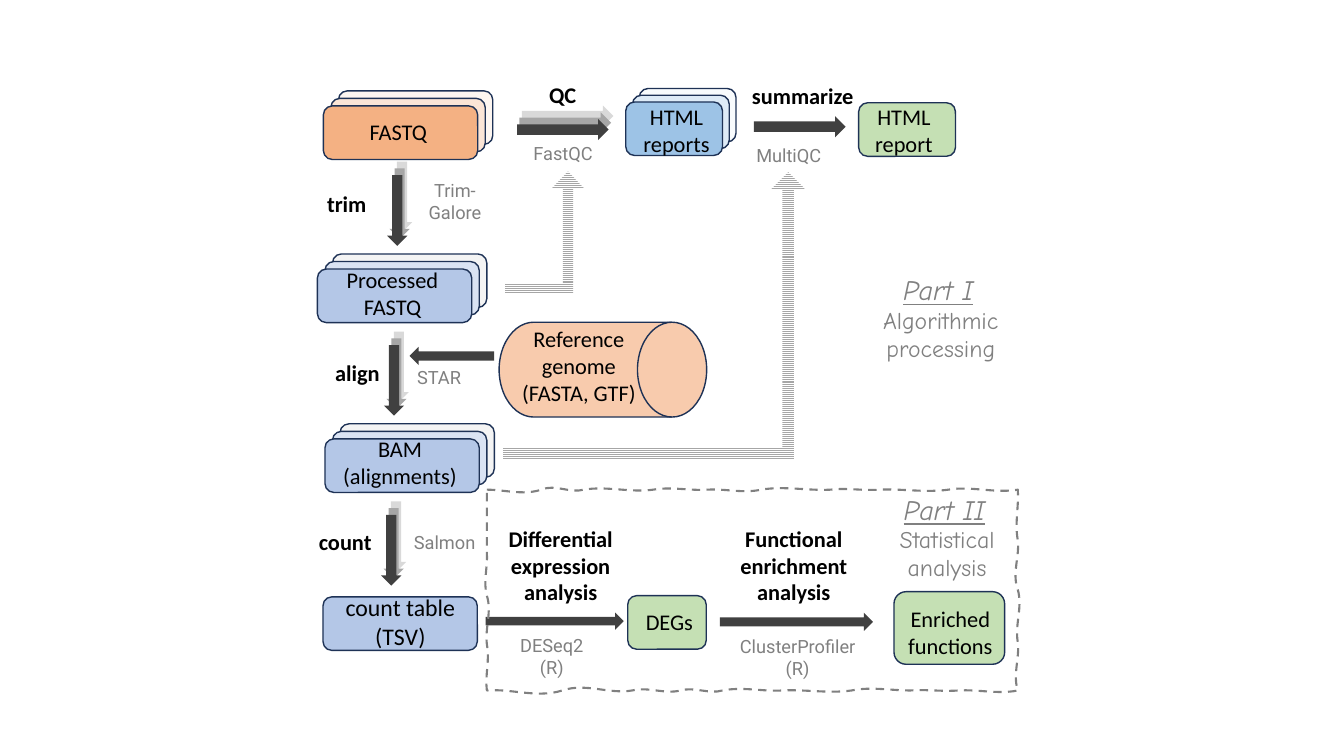
from copy import deepcopy
from dataclasses import dataclass

from lxml import etree
from pptx import Presentation
from pptx.dml.color import RGBColor
from pptx.enum import dml, shapes, text
from pptx.oxml import ns
from pptx.util import Cm, Pt


@dataclass(frozen=True)
class Theme:
    ink: str = "000000"
    gray: str = "808080"
    outline: str = "1E3256"
    arrow: str = "404040"
    arrow_middle: str = "A6A6A6"
    arrow_back: str = "D9D9D9"
    paper: str = "FFFFFF"
    orange: str = "F4B183"
    orange_light: str = "FBE5D6"
    drum: str = "F8CBAD"
    sky: str = "9DC3E6"
    sky_light: str = "DEEBF7"
    blue: str = "B4C7E7"
    blue_light: str = "DAE3F3"
    off_white: str = "F4F4F4"
    green: str = "C5E0B4"
    main_font: str = "Calibri"
    tool_font: str = "Roboto"
    part_font: str = "Comic Neue"
    main_size: int = 16
    tool_size: int = 13
    part_size: int = 20
    large_size: int = 17


theme = Theme()
SHAPE = shapes.MSO_SHAPE

deck = Presentation()
deck.slide_width, deck.slide_height = Cm(33.87), Cm(19.05)
page = deck.slides.add_slide(deck.slide_layouts[6])


def draw(kind, left, top, width, height, fill, line=None, rotation=0, opacity=None):
    """Add a flat preset shape; opacity is a percentage."""
    shape = page.shapes.add_shape(kind, Cm(left), Cm(top), Cm(width), Cm(height))
    shape.shadow.inherit = False
    shape.rotation = rotation
    shape.fill.solid()
    shape.fill.fore_color.rgb = RGBColor.from_string(fill)
    if opacity is not None:
        color = shape.fill._xPr.find(ns.qn("a:solidFill"))[0]
        etree.SubElement(color, ns.qn("a:alpha"), val=str(opacity * 1000))
    if line:
        shape.line.color.rgb = RGBColor.from_string(line)
        shape.line.width = Pt(1)
    else:
        shape.line.fill.background()
    return shape


def write(words, left, top, width, height, *, size=theme.main_size, font=theme.main_font,
          color=theme.ink, bold=None, italic=None, underline=None,
          align=text.PP_ALIGN.CENTER):
    """Add a wrapping text box; \\n starts a paragraph and \\v breaks a line."""
    box = page.shapes.add_textbox(Cm(left), Cm(top), Cm(width), Cm(height))
    frame = box.text_frame
    frame.word_wrap = True
    frame.text = words
    for para in frame.paragraphs:
        para.alignment = align
        for span in para.runs:
            span.font.name, span.font.size = font, Pt(size)
            span.font.color.rgb = RGBColor.from_string(color)
            span.font.bold, span.font.italic = bold, italic
            span.font.underline = underline
        for line_break in para._p.findall(ns.qn("a:br")):
            line_break.append(deepcopy(para.runs[0]._r.find(ns.qn("a:rPr"))))


# Stacks of files: front card position, width, step, then (fill, opacity) from back to front
CARD_WIDTH, CARD_HEIGHT = 3.89, 1.35
blue_cards = [(theme.off_white, None), (theme.blue_light, None), (theme.blue, None)]
stacks = [
    (8.15, 2.67, CARD_WIDTH, 0.19,
     [(theme.orange_light, 34), (theme.orange_light, None), (theme.orange, None)]),
    (15.77, 2.57, 2.44, 0.17,
     [(theme.sky_light, 20), (theme.sky_light, None), (theme.sky, None)]),
    (8, 6.78, CARD_WIDTH, 0.19, blue_cards),
    (8.19, 11.06, CARD_WIDTH, 0.19, blue_cards),
    (8.14, 15.04, CARD_WIDTH, 0, blue_cards[-1:]),
]
for left, top, width, step, cards in stacks:
    for depth, (fill, opacity) in zip(reversed(range(len(cards))), cards):
        draw(SHAPE.ROUNDED_RECTANGLE, left + depth * step, top - depth * step,
             width, CARD_HEIGHT, fill, theme.outline, opacity=opacity)

# Result cards
for left, top, width, height in [
    (21.64, 2.59, 2.44, CARD_HEIGHT),
    (15.82, 15.01, 1.98, CARD_HEIGHT),
    (22.53, 14.91, 2.79, 1.83),
]:
    draw(SHAPE.ROUNDED_RECTANGLE, left, top, width, height, theme.green, theme.outline)

draw(SHAPE.FLOWCHART_DIRECT_ACCESS_STORAGE, 12.58, 8.12, 5.23, 2.39,
     theme.drum, theme.outline)

# Arrows: triple for steps run on every file, single otherwise
triple = [theme.arrow_back, theme.arrow_middle, theme.arrow]
single = [theme.arrow]
for left, top, width, height, rotation, fills in [
    (13.03, 3, 2.31, 0.53, 0, triple),
    (9.12, 5.05, 1.78, 0.51, 90, triple),
    (9.04, 9.33, 1.78, 0.51, 90, triple),
    (8.97, 13.61, 1.78, 0.51, 90, triple),
    (19, 2.93, 2.31, 0.53, 0, single),
    (10.32, 8.74, 2.13, 0.46, 180, single),
    (12.24, 15.44, 3.48, 0.43, 0, single),
    (18.14, 15.44, 3.86, 0.46, 0, single),
]:
    for depth, fill in zip(reversed(range(len(fills))), fills):
        draw(SHAPE.RIGHT_ARROW, left + depth * 0.06, top - depth * 0.17,
             width, height, fill, rotation=rotation)

for left, top, width, height, adjustments in [
    (12.73, 4.32, 1.98, 3.1, (0.13, 0.2, 0.21)),
    (12.68, 4.34, 7.62, 7.24, (0.04, 0.06, 0.06)),
]:
    bent = draw(SHAPE.BENT_UP_ARROW, left, top, width, height, theme.paper)
    for index, value in enumerate(adjustments):
        bent.adjustments[index] = value
    bent.fill.patterned()
    bent.fill.pattern = dml.MSO_PATTERN.NARROW_HORIZONTAL
    bent.fill.fore_color.rgb = RGBColor.from_string(theme.arrow_middle)
    bent.fill.back_color.rgb = RGBColor.from_string(theme.paper)

# Hand-drawn frame: each side has knots along it and a pair of bends between knots
LEFT, TOP, RIGHT, BOTTOM = 12.27, 12.34, 25.65, 17.4
sides = [
    (False, TOP, [LEFT, 13.64, 14.71, 16.46, 17.83, 19.18, 20.93, 22.15, 23.9, RIGHT],
     [(0, 0.15), (-0.15, 0.1), (-0.1, 0.08), (-0.08, 0.03), (-0.03, 0.1),
      (-0.1, 0.03), (-0.05, 0.03), (-0.03, 0.08), (-0.1, 0.1)]),
    (True, RIGHT, [TOP, 13.61, 14.86, 16.18, BOTTOM],
     [(0.03, -0.08), (0.05, -0.15), (0.13, -0.08), (0.05, -0.13)]),
    (False, BOTTOM, [RIGHT, 24.16, 22.94, 21.46, 19.71, 18.21, 17.15, 15.93, 14.17, LEFT],
     [(0.1, -0.03), (0.03, -0.03), (0, -0.1), (0.08, -0.03), (0.03, -0.1),
      (0.1, -0.1), (0.1, -0.1), (0.1, -0.2), (0.2, -0.05)]),
    (True, LEFT, [BOTTOM, 16.23, 15.01, 13.92, TOP],
     [(-0.05, 0.08), (-0.05, 0.13), (-0.1, 0.03), (0, 0)]),
]
curves = []
for vertical, base, knots, bends in sides:
    for start, end, (first, second) in zip(knots, knots[1:], bends):
        third = (end - start) / 3
        points = [(start + third, base + first), (end - third, base + second), (end, base)]
        curves.append([point[::-1] if vertical else point for point in points])
builder = page.shapes.build_freeform(Cm(LEFT), Cm(TOP))
builder.add_line_segments([(Cm(x), Cm(y)) for *_, (x, y) in curves], close=True)
part_frame = builder.convert_to_shape()
for segment, points in zip(list(part_frame._element.iter(ns.qn("a:lnTo"))), curves):
    curve = etree.Element(ns.qn("a:cubicBezTo"))
    for x, y in points:
        etree.SubElement(curve, ns.qn("a:pt"), x=str(Cm(x - LEFT)), y=str(Cm(y - TOP)))
    segment.getparent().replace(segment, curve)
part_frame.shadow.inherit = False
part_frame.fill.background()
part_frame.line.color.rgb = RGBColor.from_string(theme.gray)
part_frame.line.width = Pt(1.5)
part_frame.line.dash_style = dml.MSO_LINE.DASH

# Data names
for words, *place in [
    ("FASTQ", 8.15, 2.84, 3.78, 0.94),
    ("HTML\nreports", 15.73, 2.47, 2.64, 1.63),
    ("HTML\nreport", 21.46, 2.47, 2.64, 1.63),
    ("Processed FASTQ", 8, 6.58, 3.78, 1.63),
    ("Reference\vgenome\v(FASTA, GTF)", 12.47, 8.07, 4.24, 2.31),
    ("BAM (alignments)", 8.19, 10.85, 3.78, 1.63),
    ("DEGs", 15.93, 15.21, 1.88, 0.94),
    ("Enriched functions", 22.63, 15.12, 2.64, 1.63),
]:
    write(words, *place)
write("count table\v(TSV)", 8.2, 14.81, 3.78, 1.7, size=theme.large_size)

# Step names
for words, *place in [
    ("QC", 12.87, 1.93, 2.62, 0.94),
    ("summarize", 18.67, 1.95, 3.12, 0.94),
    ("trim", 7.43, 4.67, 2.62, 0.94),
    ("align", 7.7, 8.92, 2.62, 0.94),
    ("count", 7.39, 13.18, 2.62, 0.94),
    ("Differential expression analysis", 12.02, 13.1, 4.22, 2.31),
    ("Functional enrichment analysis", 17.67, 13.1, 4.67, 2.31),
]:
    write(words, *place, bold=True)

# Tool names
tool = dict(size=theme.tool_size, font=theme.tool_font, color=theme.gray)
for words, *place in [
    ("FastQC", 12.54, 3.45, 3.3, 0.81),
    ("Trim-\vGalore", 9.52, 4.39, 3.89, 1.37),
    ("STAR", 9.12, 9.11, 3.89, 0.81),
    ("Salmon", 9.26, 13.26, 3.89, 0.81),
    ("DESeq2\v(R)", 12.09, 15.85, 3.63, 1.37),
    ("ClusterProfiler\v(R)", 17.61, 15.88, 4.98, 1.37),
]:
    write(words, *place, **tool)
write("MultiQC", 18.81, 3.51, 3.3, 0.81, align=text.PP_ALIGN.LEFT, **tool)

# Part headings
part = dict(font=theme.part_font, color=theme.gray)
for words, *place in [("Part I", 22.11, 6.75, 3.07, 1.12), ("Part II", 22.48, 12.29, 2.64, 1.12)]:
    write(words, *place, size=theme.part_size, italic=True, underline=True, **part)
for words, *place in [
    ("Algorithmic processing", 21.73, 7.57, 3.96, 1.7),
    ("Statistical analysis", 21.85, 13.09, 4.04, 1.7),
]:
    write(words, *place, size=theme.large_size, **part)

deck.save("out.pptx")
